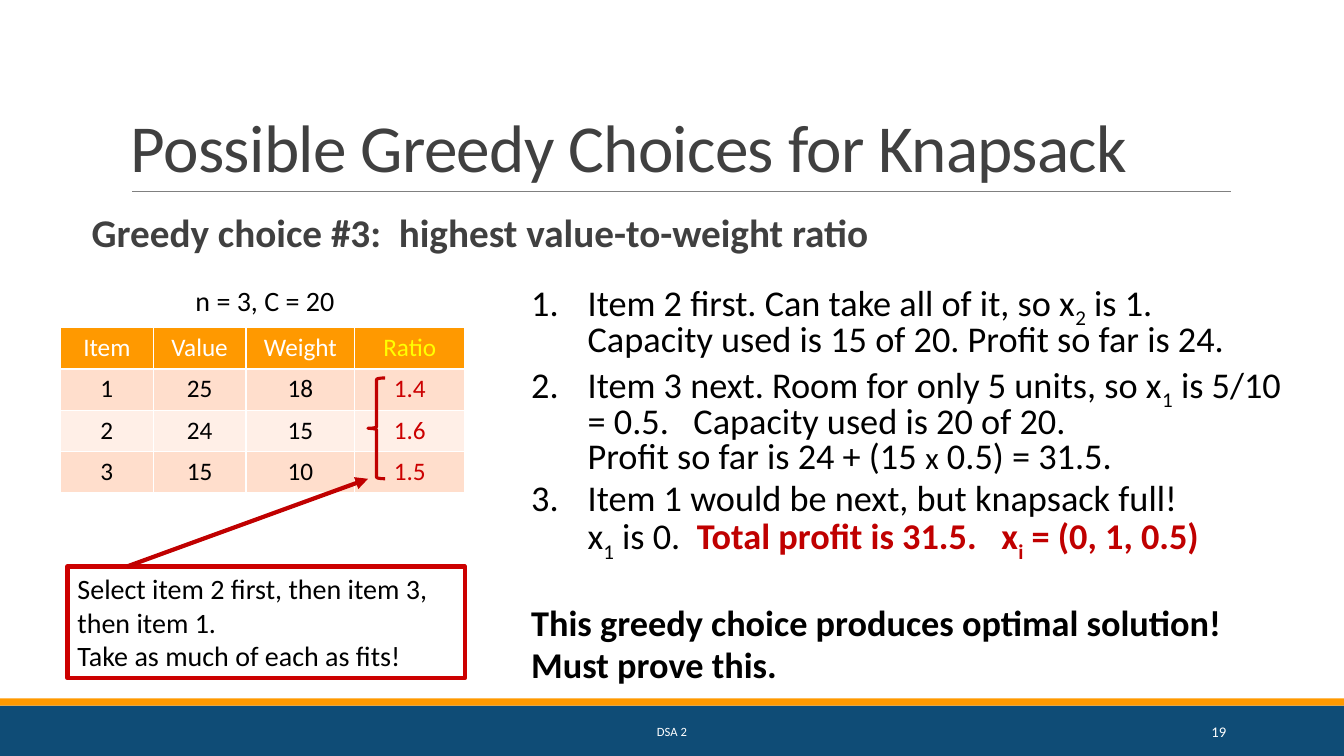
"""Builds the slide on the value-to-weight greedy choice for the knapsack problem."""
from lxml.etree import SubElement
from pptx import Presentation
from pptx.dml.color import RGBColor
from pptx.enum.shapes import MSO_CONNECTOR as CONNECTOR, MSO_SHAPE as SHAPE
from pptx.enum.text import MSO_ANCHOR as ANCHOR, PP_ALIGN as ALIGN
from pptx.oxml.ns import qn
from pptx.util import Inches, Pt

FONT = "Calibri"
NAVY = RGBColor(0x0F, 0x4C, 0x76)
ORANGE = RGBColor(0xFF, 0x99, 0x00)
GRAY = RGBColor(0x80, 0x80, 0x80)
CHARCOAL = RGBColor(0x40, 0x40, 0x40)
BLACK = RGBColor(0x00, 0x00, 0x00)
WHITE = RGBColor(0xFF, 0xFF, 0xFF)
YELLOW = RGBColor(0xFF, 0xFF, 0x00)
RED = RGBColor(0xCC, 0x00, 0x00)
DARK_RED = RGBColor(0xC0, 0x00, 0x00)
PEACH = RGBColor(0xFF, 0xDE, 0xCC)
PALE_PEACH = RGBColor(0xFF, 0xEF, 0xE7)

TITLE = "Possible Greedy Choices for Knapsack"
SUBTITLE = "Greedy choice #3:  highest value-to-weight ratio"
CAPACITY = "n = 3, C = 20"
CALLOUT = "Select item 2 first, then item 3, then item 1.\nTake as much of each as fits!"
ITEMS = [
    ("Item", "Value", "Weight", "Ratio"),
    ("1", "25", "18", "1.4"),
    ("2", "24", "15", "1.6"),
    ("3", "15", "10", "1.5"),
]
COLUMN_WIDTHS = (0.92, 0.92, 1.08, 1.09)
ROW_HEIGHT = 0.41

SUB = {"sub": True}
RESULT = {"color": DARK_RED, "bold": True}
STEPS = [
    [("Item 2 first. Can take all of it, so x", {}), ("2", SUB),
     (" is 1.\nCapacity used is 15 of 20. Profit so far is 24.", {})],
    [("Item 3 next. Room for only 5 units, so x", {}), ("1", SUB),
     (" is 5/10 = 0.5.   Capacity used is 20 of 20.\nProfit so far is 24 + (15 ", {}),
     ("x", {"size": 22.2}), (" 0.5) = 31.5.", {})],
    [("Item 1 would be next, but knapsack full!\nx", {}), ("1", SUB), (" is 0.  ", {}),
     ("Total profit is 31.5.   x", RESULT), ("i", {**RESULT, **SUB}),
     (" = (0, 1, 0.5)", RESULT)],
]
CONCLUSIONS = ["This greedy choice produces optimal solution!", "Must prove this."]
STEP_SIZE = 25.9
STEP_GAP = 5.2
CONCLUSION_GAP = 36


def write(paragraph, text, size, color=BLACK, bold=False, sub=False, spacing=None):
    """Adds text to a paragraph, with a line break at each newline."""
    for index, line in enumerate(text.split("\n")):
        if index:
            paragraph.add_line_break()
        run = paragraph.add_run()
        run.text = line
        look = {"name": FONT, "size": Pt(size), "bold": bold}
        for key, value in look.items():
            setattr(run.font, key, value)
        run.font.color.rgb = color
        for key, value in {"baseline": -25000 if sub else None, "spc": spacing}.items():
            if value is not None:
                run.font._element.set(key, str(value))


def text_box(slide, at, text, size, layout=(), paragraph_format=(), wrap=True, **look):
    """Adds a text box holding one paragraph and returns its frame."""
    frame = slide.shapes.add_textbox(*map(Inches, at)).text_frame
    frame.word_wrap = wrap
    for key, value in dict(layout).items():
        setattr(frame, key, value)
    for key, value in dict(paragraph_format).items():
        setattr(frame.paragraphs[0], key, value)
    write(frame.paragraphs[0], text, size, **look)
    return frame


def outline_shape(slide, kind, at, fill=None, line=None, width=0):
    """Adds a shape with the given fill and outline."""
    shape = slide.shapes.add_shape(kind, *map(Inches, at))
    shape.shadow.inherit = False
    if fill is None:
        shape.fill.background()
    else:
        shape.fill.solid()
        shape.fill.fore_color.rgb = fill
    if line is None:
        shape.line.fill.background()
    else:
        shape.line.color.rgb = line
        shape.line.width = Pt(width)
    return shape


def straight_line(slide, start, end, color, width, arrow=False):
    """Adds a straight line, with an arrowhead at its end if asked."""
    line = slide.shapes.add_connector(CONNECTOR.STRAIGHT, *map(Inches, start + end))
    line.line.color.rgb = color
    line.line.width = Pt(width)
    if arrow:
        SubElement(line.line._get_or_add_ln(), qn("a:tailEnd"), type="triangle")
    SubElement(line._element.spPr, qn("a:effectLst"))


def item_table(slide):
    """Adds the table of items with their ratios."""
    at = (0.6, 3.25, sum(COLUMN_WIDTHS), ROW_HEIGHT * len(ITEMS))
    table = slide.shapes.add_table(len(ITEMS), len(COLUMN_WIDTHS), *map(Inches, at)).table
    for column, width in zip(table.columns, COLUMN_WIDTHS):
        column.width = Inches(width)
    for row, values in enumerate(ITEMS):
        table.rows[row].height = Inches(ROW_HEIGHT)
        fill = ORANGE if row == 0 else PEACH if row % 2 else PALE_PEACH
        plain, ratio = (BLACK, RED) if row else (WHITE, YELLOW)
        for column, value in enumerate(values):
            cell = table.cell(row, column)
            cell.fill.solid()
            cell.fill.fore_color.rgb = fill
            paragraph = cell.text_frame.paragraphs[0]
            paragraph.alignment = ALIGN.CENTER
            write(paragraph, value, 18, ratio if column == len(values) - 1 else plain)


def solution(slide):
    """Adds the numbered steps and the conclusions below them."""
    frame = slide.shapes.add_textbox(*map(Inches, (5.17, 2.78, 7.78, 4.14))).text_frame
    frame.word_wrap = True
    closing = [[(line, {"bold": True})] for line in CONCLUSIONS]
    for index, runs in enumerate(STEPS + closing):
        paragraph = frame.add_paragraph() if index else frame.paragraphs[0]
        gap = CONCLUSION_GAP if index == len(STEPS) else STEP_GAP
        for key, value in {"line_spacing": 0.8, "space_before": Pt(gap)}.items():
            setattr(paragraph, key, value)
        if index < len(STEPS):
            properties = paragraph._p.get_or_add_pPr()
            indent = Inches(0.56)
            properties.set("marL", str(indent))
            properties.set("indent", str(-indent))
            SubElement(properties, qn("a:buFont"), typeface=FONT)
            SubElement(properties, qn("a:buAutoNum"), type="arabicPeriod")
        for text, look in runs:
            write(paragraph, text, **{"size": STEP_SIZE, **look})


def main():
    """Builds and saves the slide."""
    deck = Presentation()
    deck.slide_width, deck.slide_height = Inches(13.33), Inches(7.5)
    slide = deck.slides.add_slide(deck.slide_layouts[6])

    outline_shape(slide, SHAPE.RECTANGLE, (0, 7, 13.33, 0.5), fill=NAVY)
    outline_shape(slide, SHAPE.RECTANGLE, (0, 6.93, 13.33, 0.07), fill=ORANGE)
    straight_line(slide, (1.31, 1.9), (12.21, 1.9), GRAY, 0.5)

    text_box(slide, (0.91, 2.07, 10.83, 0.7), SUBTITLE, 28,
             {"margin_left": 0, "margin_right": 0},
             {"line_spacing": 0.9, "space_before": Pt(12), "space_after": Pt(2)},
             color=CHARCOAL, bold=True)
    text_box(slide, (1.2, 0.31, 11, 1.59), TITLE, 48, {"vertical_anchor": ANCHOR.BOTTOM},
             {"line_spacing": 0.85}, color=CHARCOAL, spacing=-50)

    callout = outline_shape(slide, SHAPE.RECTANGLE, (0.67, 5.62, 3.94, 1.11), line=RED, width=3)
    callout.text_frame.word_wrap = True
    callout.text_frame.vertical_anchor = ANCHOR.TOP
    callout.text_frame.paragraphs[0].alignment = ALIGN.LEFT
    write(callout.text_frame.paragraphs[0], CALLOUT, 20)

    solution(slide)
    item_table(slide)
    text_box(slide, (1.84, 2.76, 1.59, 0.44), CAPACITY, 20, wrap=False)
    outline_shape(slide, SHAPE.LEFT_BRACE, (3.65, 3.75, 0.17, 1), line=DARK_RED, width=2.25)
    straight_line(slide, (1.26, 5.62), (3.65, 4.75), DARK_RED, 3, arrow=True)

    middle = {"vertical_anchor": ANCHOR.MIDDLE}
    text_box(slide, (4.03, 7.06, 5.27, 0.4), "DSA 2", 9, middle,
             {"alignment": ALIGN.CENTER}, color=WHITE)
    text_box(slide, (10.83, 7.06, 1.43, 0.4), "19", 10.5, middle,
             {"alignment": ALIGN.RIGHT}, color=WHITE)
    deck.save("out.pptx")


if __name__ == "__main__":
    main()
